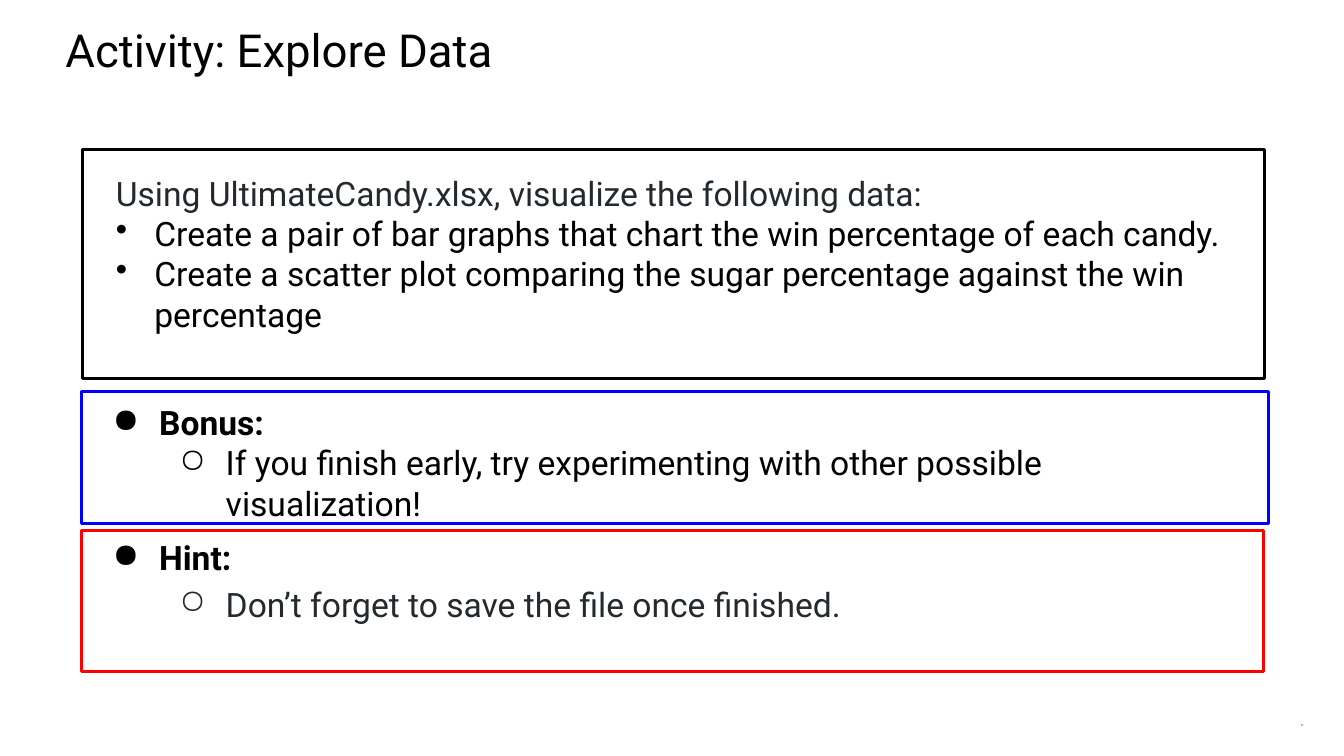
"""Builds the "Activity: Explore Data" slide with three framed text blocks."""
from lxml import etree
from pptx import Presentation
from pptx.dml.color import RGBColor
from pptx.enum import shapes, text
from pptx.oxml.ns import qn
from pptx.util import Cm, Pt

COLOURS = {"black": "000000", "slate": "24292E", "blue": "0000FF", "red": "FF0000"}

# Each style: left margin, first-line indent (cm), bullet, bold, line spacing
STYLES = {
    "plain": (0, 0, None, False, 1.0),
    "title": (0, 0, None, False, 0.9),
    "dot": (0.97, -0.97, "•", False, 1.0),
    "heading": (1.7, -1.17, "●", True, 1.0),
    "detail": (3.38, -1.17, "○", False, 1.0),
    "loose detail": (3.38, -1.17, "○", False, 1.15),
}

FRAMES = [
    ((2.08, 3.76, 29.79, 5.77), "black"),
    ((2.06, 9.86, 29.92, 3.33), "blue"),
    ((2.06, 13.36, 29.79, 3.56), "red"),
]

# Each block: place, insets (left, top, right, bottom), font, size, alignment, lines
BLOCKS = [
    ((-0.05, 0, 33.96, 1.98), (1.7, 0.7, 1.02, 0.33), "Roboto", 32.5, "LEFT", [
        ("title", "black", "Activity: Explore Data"),
    ]),
    ((31.88, 18.36, 0.97, 0.38), (0, 0, 0, 0.33), "Karla", 2, "RIGHT", [
        ("plain", "black", "21"),
    ]),
    ((2.67, 4.22, 29.11, 4.36), (0.25, 0.13, 0.25, 0.13), "Roboto", 24, "LEFT", [
        ("plain", "slate", "Using UltimateCandy.xlsx, visualize the following data:"),
        ("dot", "black", "Create a pair of bar graphs that chart the win percentage of each candy."),
        ("dot", "black", "Create a scatter plot comparing the sugar percentage against the win percentage"),
    ]),
    ((1.98, 9.8, 29.46, 3.76), (0.33,) * 4, "Roboto", 24, "LEFT", [
        ("heading", "black", "Bonus:"),
        ("detail", "black", "If you finish early, try experimenting with other possible visualization!"),
    ]),
    ((1.98, 13.21, 29.92, 2.9), (0.33,) * 4, "Roboto", 24, "LEFT", [
        ("heading", "black", "Hint:"),
        ("loose detail", "slate", "Don’t forget to save the file once finished."),
    ]),
]


def colour(name):
    return RGBColor.from_string(COLOURS[name])


def add_frame(page, place, line_colour):
    frame = page.shapes.add_shape(shapes.MSO_SHAPE.RECTANGLE, *map(Cm, place))
    frame.shadow.inherit = False
    frame.fill.background()
    frame.line.color.rgb = colour(line_colour)
    frame.line.width = Pt(2.25)


def set_style(paragraph, style):
    margin, indent, bullet, bold, spacing = STYLES[style]
    if bullet:
        properties = paragraph._p.get_or_add_pPr()
        properties.set("marL", str(Cm(margin)))
        properties.set("indent", str(Cm(indent)))
        properties.set("lvl", "1" if bullet == "○" else "0")
        etree.SubElement(properties, qn("a:buChar")).set("char", bullet)
    paragraph.line_spacing = spacing
    paragraph.runs[0].font.bold = bold


def add_block(page, place, insets, font, size, alignment, lines):
    frame = page.shapes.add_textbox(*map(Cm, place)).text_frame
    frame.word_wrap = True
    frame.vertical_anchor = text.MSO_ANCHOR.TOP
    (frame.margin_left, frame.margin_top,
     frame.margin_right, frame.margin_bottom) = map(Cm, insets)
    frame.text = "\n".join(line[2] for line in lines)
    for paragraph, (style, text_colour, _) in zip(frame.paragraphs, lines):
        set_style(paragraph, style)
        paragraph.alignment = text.PP_ALIGN[alignment]
        span = paragraph.runs[0]
        span.font.name = font
        span.font.size = Pt(size)
        span.font.color.rgb = colour(text_colour)


def main():
    deck = Presentation()
    deck.slide_width, deck.slide_height = Cm(33.87), Cm(19.05)
    page = deck.slides.add_slide(deck.slide_layouts[6])
    for frame in FRAMES:
        add_frame(page, *frame)
    for block in BLOCKS:
        add_block(page, *block)
    deck.save("out.pptx")


if __name__ == "__main__":
    main()
